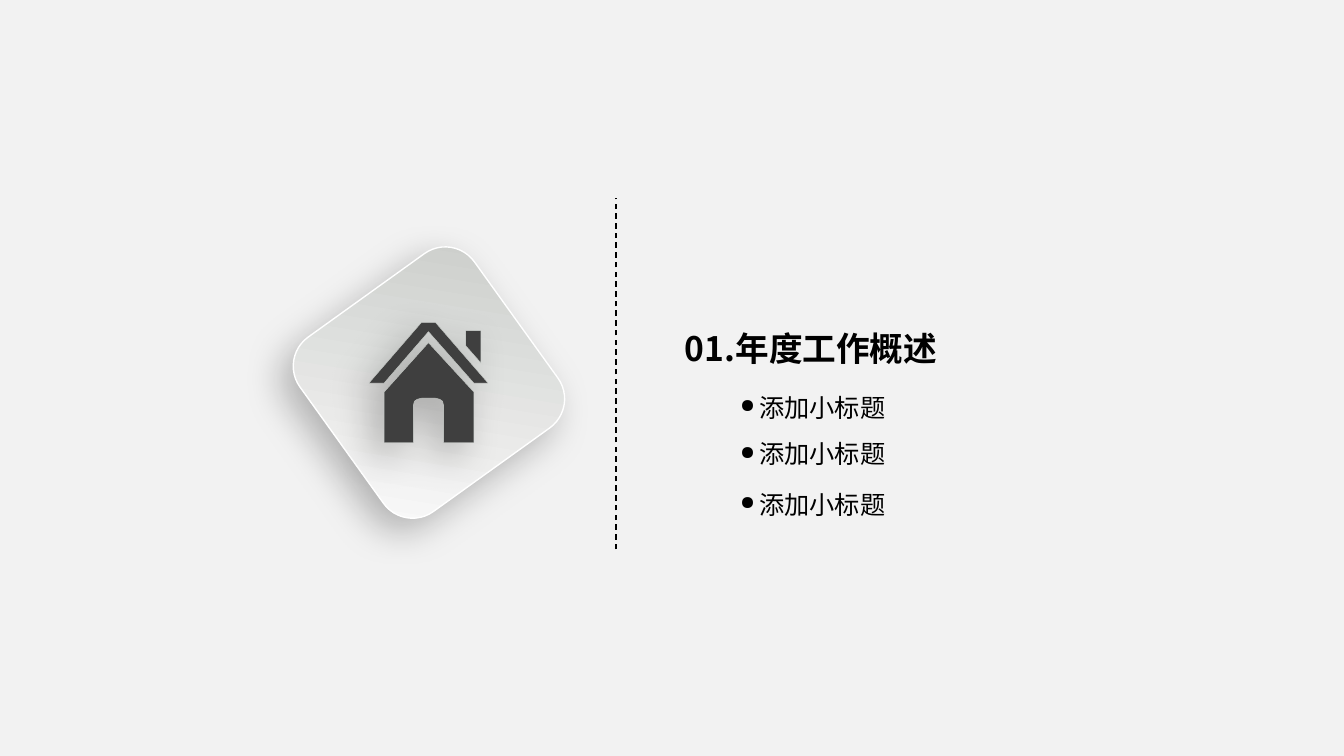
from lxml import etree
from pptx import Presentation
from pptx.dml.color import RGBColor
from pptx.enum.dml import MSO_LINE
from pptx.enum.shapes import MSO_CONNECTOR, MSO_SHAPE
from pptx.enum.text import MSO_ANCHOR, PP_ALIGN
from pptx.oxml.ns import qn
from pptx.util import Inches, Pt

TITLE = "01.年度工作概述"
SUBTITLES = [("添加小标题", 3.89), ("添加小标题", 4.35), ("添加小标题", 4.85)]
FONT = "Noto Sans CJK SC"
COLORS = {
    "background": "F2F2F2",
    "tile_dark": "C9CBC8",
    "tile_light": "FCFCFC",
    "tile_edge": "FFFFFF",
    "house": "3F3F3F",
    "house_edge": "CFD4D0",
    "ink": "000000",
}
HOUSE = {
    "body": [(4.25, 3.4), (4.7, 3.89), (4.7, 4.39), (4.4, 4.39), (4.4, 4.02),
             (4.39, 3.98), (4.36, 3.96), (4.32, 3.95), (4.18, 3.95),
             (4.14, 3.96), (4.11, 3.98), (4.1, 4.02), (4.1, 4.39),
             (3.81, 4.39), (3.81, 3.89)],
    "chimney": [(4.62, 3.28), (4.77, 3.28), (4.77, 3.6), (4.62, 3.43)],
    "roof": [(4.18, 3.2), (4.32, 3.2), (4.84, 3.8), (4.7, 3.8), (4.25, 3.29),
             (3.81, 3.8), (3.66, 3.8)],
}


def rgb(name):
    return RGBColor.from_string(COLORS[name])


def set_edge(shape, color, width):
    shape.line.color.rgb = rgb(color)
    shape.line.width = Pt(width)


def add_shadow(shape):
    """Cast a soft shadow towards the lower left."""
    shape.shadow.inherit = False
    effects = shape._element.spPr.find(qn("a:effectLst"))
    shadow = etree.SubElement(effects, qn("a:outerShdw"), blurRad=str(Pt(27)),
                              dist=str(Pt(12)), dir="8100000", algn="tr",
                              rotWithShape="0")
    color = etree.SubElement(shadow, qn("a:srgbClr"), val=COLORS["ink"])
    etree.SubElement(color, qn("a:alpha"), val="26000")


def add_text(slide, text, box, size, bold=False, align=None, margin=None, bullet=None):
    frame = slide.shapes.add_textbox(*map(Inches, box)).text_frame
    frame.word_wrap = True
    frame.vertical_anchor = MSO_ANCHOR.MIDDLE
    if margin is not None:
        frame.margin_left = frame.margin_right = Inches(margin)
        frame.margin_top = frame.margin_bottom = Inches(margin)
    line = frame.paragraphs[0]
    line.text = text
    if bullet:
        line.level = 1
        props = line._p.get_or_add_pPr()
        props.set("marL", str(Inches(0.19)))
        props.set("indent", str(Inches(-0.19)))
        etree.SubElement(props, qn("a:buSzPct"), val="75000")
        etree.SubElement(props, qn("a:buChar"), char=bullet)
    line.alignment = align
    line.font.name = FONT
    line.font.size = Pt(size)
    line.font.bold = bold
    line.font.color.rgb = rgb("ink")
    for run in line.runs:
        etree.SubElement(run._r.get_or_add_rPr(), qn("a:ea"), typeface=FONT)


def add_emblem(slide):
    emblem = slide.shapes.add_group_shape().shapes
    tile = emblem.add_shape(MSO_SHAPE.ROUNDED_RECTANGLE, Inches(3.19),
                            Inches(2.73), Inches(2.13), Inches(2.13))
    tile.rotation = 324.3
    tile.fill.gradient()
    tile.fill.gradient_angle = 225
    for stop, color, position in zip(tile.fill.gradient_stops,
                                     ("tile_dark", "tile_light"), (0, 1)):
        stop.color.rgb = rgb(color)
        stop.position = position
    set_edge(tile, "tile_edge", 1)
    add_shadow(tile)

    contours = [[(Inches(x), Inches(y)) for x, y in part] for part in HOUSE.values()]
    outline = emblem.build_freeform(*contours[0][0])
    outline.add_line_segments(contours[0][1:], close=True)
    for start, *rest in contours[1:]:
        outline.move_to(*start)
        outline.add_line_segments(rest, close=True)
    house = outline.convert_to_shape()
    house.fill.solid()
    house.fill.fore_color.rgb = rgb("house")
    set_edge(house, "house_edge", 0.25)
    add_shadow(house)


def add_divider(slide):
    divider = slide.shapes.add_connector(MSO_CONNECTOR.STRAIGHT, Inches(6.11),
                                         Inches(5.45), Inches(6.11), Inches(1.96))
    set_edge(divider, "ink", 1)
    divider.line.dash_style = MSO_LINE.DASH
    etree.SubElement(divider._element.spPr, qn("a:effectLst"))


def main():
    deck = Presentation()
    deck.slide_width, deck.slide_height = Inches(13.33), Inches(7.5)
    slide = deck.slides.add_slide(deck.slide_layouts[6])
    slide.background.fill.solid()
    slide.background.fill.fore_color.rgb = rgb("background")

    add_emblem(slide)
    add_text(slide, TITLE, (5.33, 3.2, 5.43, 0.5), 24, bold=True,
             align=PP_ALIGN.CENTER)
    add_divider(slide)
    for subtitle, top in SUBTITLES:
        add_text(slide, subtitle, (7.34, top, 2.2, 0.3), 18, margin=0, bullet="●")
    deck.save("out.pptx")


if __name__ == "__main__":
    main()
